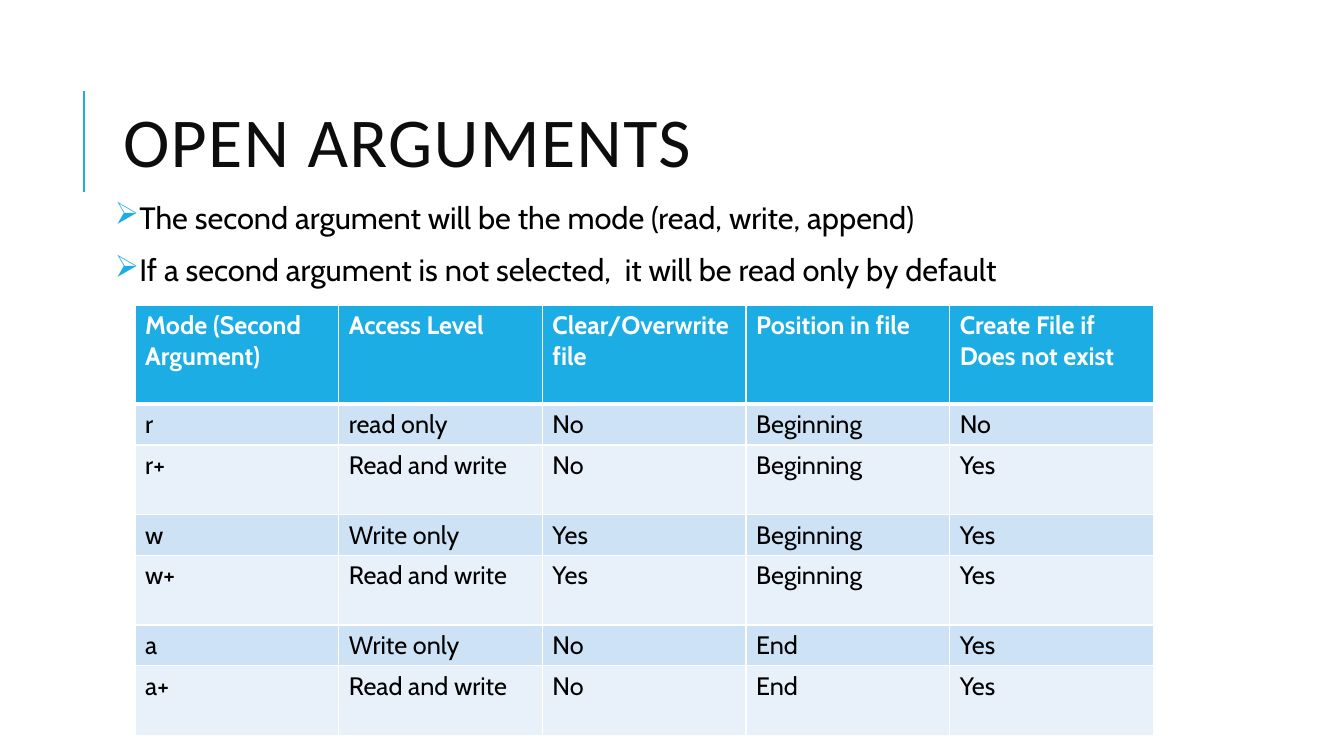
"""Build the slide on the mode argument of open."""
from dataclasses import dataclass

from lxml.etree import SubElement
from pptx import Presentation
from pptx.dml.color import RGBColor
from pptx.enum.shapes import MSO_CONNECTOR
from pptx.enum.text import MSO_ANCHOR, MSO_AUTO_SIZE, PP_ALIGN
from pptx.oxml.ns import qn
from pptx.util import Inches, Pt

COLORS = {
    "accent": "1CADE4",
    "title": "0D0D0D",
    "text": "000000",
    "white": "FFFFFF",
    "odd_row": "CDE3F5",
    "even_row": "E8F1FA",
}
TITLE_FONT = "Calibri"
BODY_FONT = "Cabin"
COLUMN_WIDTH = 2.02
HEADER_HEIGHT = 0.98
ROW_HEIGHTS = {"odd_row": 0.4, "even_row": 0.69}
HEADERS = (
    "Mode (Second Argument)",
    "Access Level",
    "Clear/Overwrite file",
    "Position in file",
    "Create File if Does not exist",
)
BULLETS = (
    "The second argument will be the mode (read, write, append)",
    "If a second argument is not selected,  it will be read only by default",
)


@dataclass(frozen=True)
class Mode:
    """One file mode and its behaviour."""

    name: str
    access: str
    clears: str
    position: str
    creates: str

    def values(self) -> tuple[str, ...]:
        """Return the cell texts in column order."""
        return self.name, self.access, self.clears, self.position, self.creates


MODES = (
    Mode("r", "read only", "No", "Beginning", "No"),
    Mode("r+", "Read and write", "No", "Beginning", "Yes"),
    Mode("w", "Write only", "Yes", "Beginning", "Yes"),
    Mode("w+", "Read and write", "Yes", "Beginning", "Yes"),
    Mode("a", "Write only", "No", "End", "Yes"),
    Mode("a+", "Read and write", "No", "End", "Yes"),
)


def rgb(name: str) -> RGBColor:
    """Look up a colour by its role."""
    return RGBColor.from_string(COLORS[name])


def add_run(paragraph, text: str, font: str, size: float, color: str, bold: bool = False):
    """Append a formatted run to a paragraph."""
    run = paragraph.add_run()
    run.text = text
    run.font.name = font
    run.font.size = Pt(size)
    run.font.bold = bold
    run.font.color.rgb = rgb(color)
    return run


def place(shape, left: float, top: float, width: float, height: float) -> None:
    """Set a shape's position and size in inches."""
    shape.left, shape.top = Inches(left), Inches(top)
    shape.width, shape.height = Inches(width), Inches(height)


def add_accent_line(slide) -> None:
    """Draw the vertical line beside the title."""
    line = slide.shapes.add_connector(
        MSO_CONNECTOR.STRAIGHT, Inches(0.83), Inches(1.9), Inches(0.83), Inches(0.9)
    )
    line.line.color.rgb = rgb("accent")
    line.line.width = Pt(1.5)
    SubElement(line._element.spPr, qn("a:effectLst"))


def format_title(slide) -> None:
    """Move and fill the title placeholder."""
    title = slide.shapes.title
    place(title, 1.12, 0.64, 10.63, 1.64)
    frame = title.text_frame
    frame.auto_size = MSO_AUTO_SIZE.NONE
    frame.vertical_anchor = MSO_ANCHOR.MIDDLE
    paragraph = frame.paragraphs[0]
    paragraph.alignment = PP_ALIGN.LEFT
    paragraph.line_spacing = 0.8
    run = add_run(paragraph, "OPEN ARGUMENTS", TITLE_FONT, 50, "title")
    run.font._element.set("spc", "100")


def set_bullet(paragraph) -> None:
    """Give a paragraph a hanging arrow bullet."""
    properties = paragraph._p.get_or_add_pPr()
    properties.set("marL", str(Inches(0.1)))
    properties.set("indent", str(-Inches(0.1)))
    color = SubElement(properties, qn("a:buClr"))
    SubElement(color, qn("a:srgbClr"), val=COLORS["accent"])
    SubElement(properties, qn("a:buChar"), char="➢")


def add_bullets(slide) -> None:
    """Write the bulleted statements."""
    box = slide.shapes.add_textbox(Inches(1.09), Inches(1.96), Inches(10.63), Inches(4.4))
    frame = box.text_frame
    frame.word_wrap = True
    frame.margin_left = frame.margin_right = Inches(0.05)
    frame.margin_top = frame.margin_bottom = Inches(0.05)
    for index, text in enumerate(BULLETS):
        paragraph = frame.add_paragraph() if index else frame.paragraphs[0]
        paragraph.line_spacing = 0.9
        paragraph.space_before = Pt(12)
        paragraph.space_after = Pt(2)
        set_bullet(paragraph)
        add_run(paragraph, text, BODY_FONT, 22, "text")


def set_borders(cell, top: float, bottom: float) -> None:
    """Draw white cell borders with the given top and bottom widths."""
    properties = cell._tc.get_or_add_tcPr()
    for side, width in (("L", 1), ("R", 1), ("T", top), ("B", bottom)):
        border = SubElement(properties, qn(f"a:ln{side}"), w=str(Pt(width)))
        fill = SubElement(border, qn("a:solidFill"))
        SubElement(fill, qn("a:srgbClr"), val=COLORS["white"])


def fill_row(table, index: int, texts: tuple[str, ...], height: float, fill: str) -> None:
    """Size, fill and write one table row."""
    header = index == 0
    table.rows[index].height = Inches(height)
    for cell, text in zip(table.rows[index].cells, texts):
        set_borders(cell, 3 if index == 1 else 1, 3 if header else 1)
        cell.fill.solid()
        cell.fill.fore_color.rgb = rgb(fill)
        color = "white" if header else "text"
        add_run(cell.text_frame.paragraphs[0], text, BODY_FONT, 18, color, header)


def add_mode_table(slide) -> None:
    """Build the table of file modes."""
    frame = slide.shapes.add_table(
        len(MODES) + 1, len(HEADERS), Inches(1.34), Inches(3.03),
        Inches(COLUMN_WIDTH * len(HEADERS)), Inches(4.24),
    )
    table = frame.table
    for column in table.columns:
        column.width = Inches(COLUMN_WIDTH)
    fill_row(table, 0, HEADERS, HEADER_HEIGHT, "accent")
    for index, mode in enumerate(MODES, start=1):
        band = "odd_row" if index % 2 else "even_row"
        fill_row(table, index, mode.values(), ROW_HEIGHTS[band], band)


def main() -> None:
    """Create and save the presentation."""
    presentation = Presentation()
    presentation.slide_width = Inches(13.33)
    presentation.slide_height = Inches(7.5)
    slide = presentation.slides.add_slide(presentation.slide_layouts[5])
    add_accent_line(slide)
    format_title(slide)
    add_mode_table(slide)
    add_bullets(slide)
    presentation.save("out.pptx")


main()
